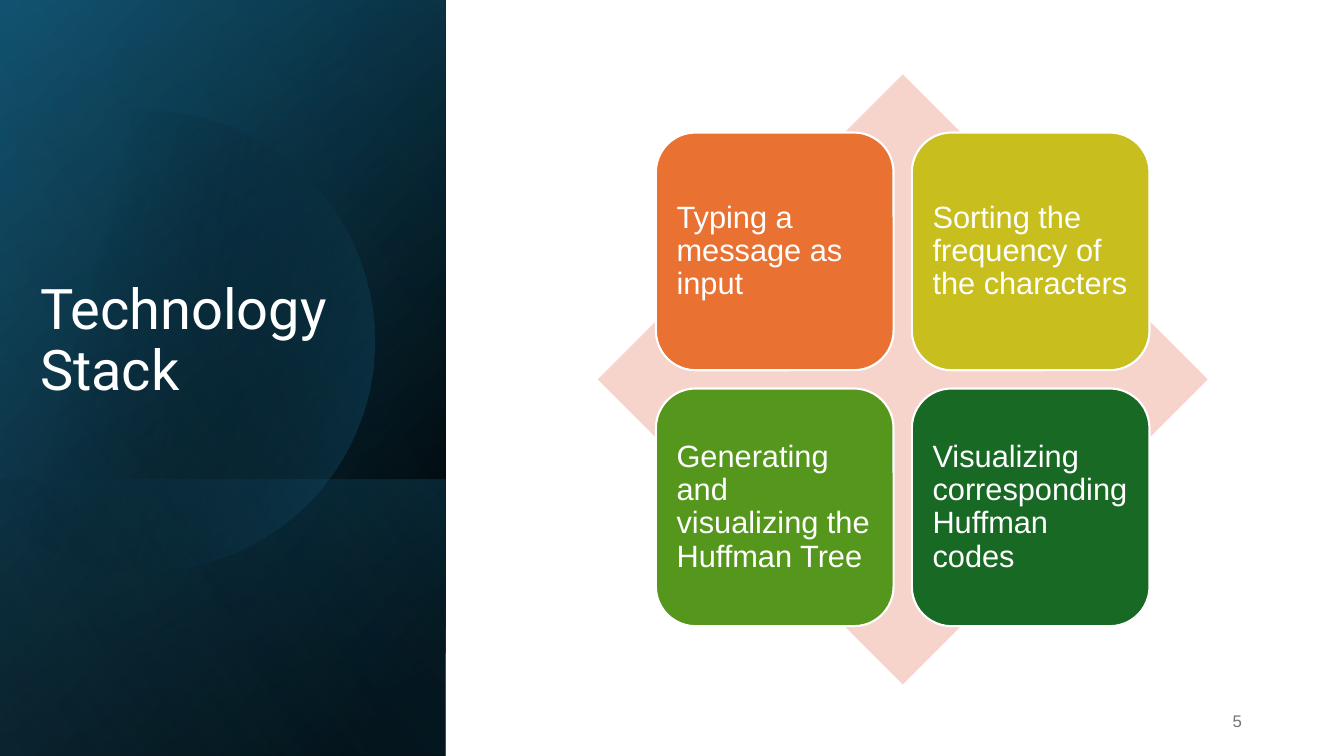
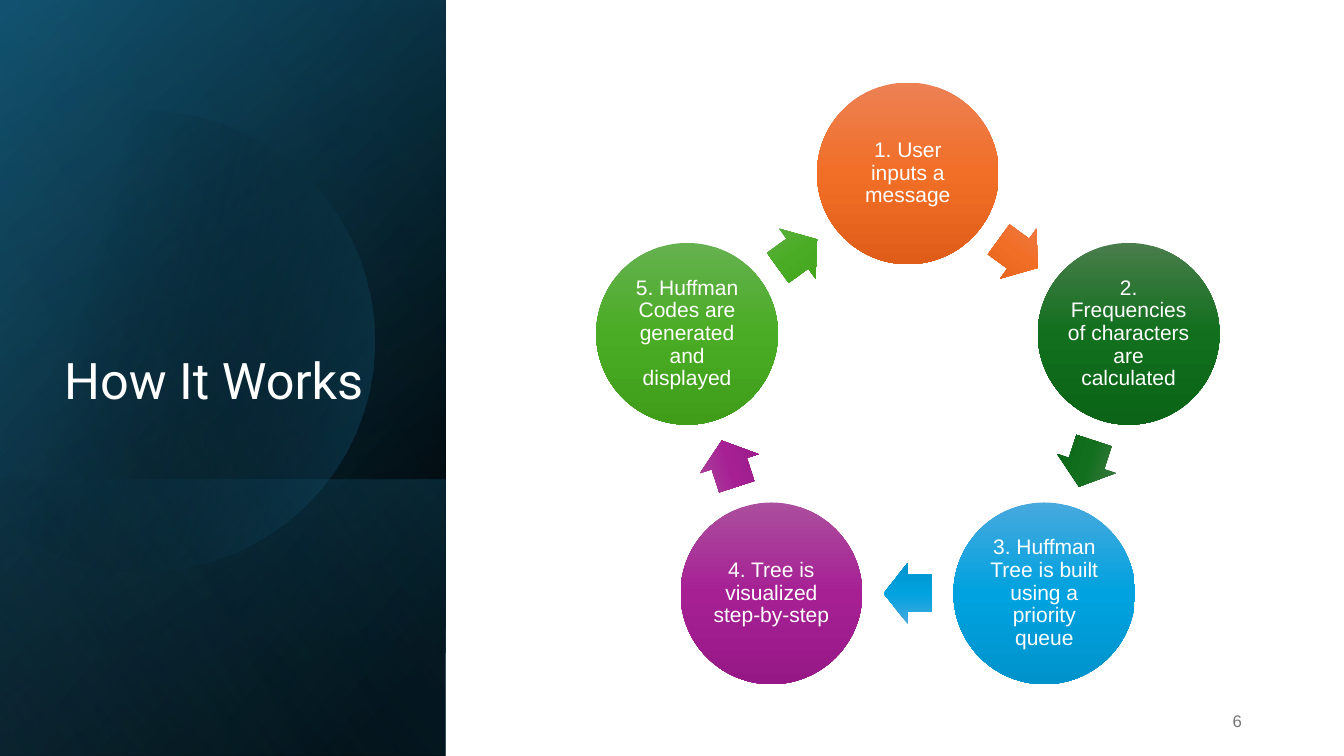
"""Build two slides on Huffman coding: a tile matrix and a five-step cycle."""
from math import cos, pi, sin

from pptx import Presentation
from pptx.dml.color import RGBColor
from pptx.enum.shapes import MSO_SHAPE as Shape
from pptx.enum.text import MSO_ANCHOR as Anchor, PP_ALIGN as Align
from pptx.oxml import parse_xml
from pptx.oxml.ns import nsdecls, qn
from pptx.util import Cm, Pt

WHITE = RGBColor(0xFF, 0xFF, 0xFF)
BLACK = RGBColor(0x00, 0x00, 0x00)
NAVY = RGBColor(0x0F, 0x48, 0x61)
TEAL = RGBColor(0x15, 0x60, 0x82)
SKY = RGBColor(0x43, 0xAF, 0xE2)
GRAY = RGBColor(0x75, 0x75, 0x75)
BLUSH = RGBColor(0xF6, 0xD4, 0xCC)

SLIDE_W, SLIDE_H = 33.87, 19.05
PANEL_W = 11.23
LOWER_TOP = 12.09

BACK_LAYERS = [
    (0, [(0, BLACK, 100), (8, BLACK, 100), (100, NAVY, 100)], 50),
    (0, [(0, BLACK, 0), (99, TEAL, 46), (100, TEAL, 46)], 30),
    (LOWER_TOP, [(0, TEAL, 29), (2, TEAL, 29), (100, BLACK, 30)], 130),
]
FRONT_LAYERS = [(0, [(0, BLACK, 0), (99, SKY, 11), (100, SKY, 11)], 120)]
DISC_START = (3.78, 2.79)
DISC_CURVES = [
    [(6.25, 2.84), (8.51, 4.5), (9.22, 6.99)],
    [(10.11, 10.08), (8.33, 13.28), (5.26, 14.17)],
    [(3.33, 14.73), (1.35, 14.25), (-0.08, 13.06)],
    [(-0.38, 12.78)],
    [(-0.38, 4.45)],
    [(0, 4.09)],
    [(0.58, 3.61), (1.27, 3.25), (2.03, 3.02)],
    [(2.62, 2.87), (3.2, 2.79), (3.78, 2.79)],
]
DISC_STOPS = [(0, BLACK, 0), (29, BLACK, 0), (100, TEAL, 43)]
CURVE_STEPS = 16

STACK = {"title": "Technology\vStack", "size": 40, "number": "5",
         "box": (0.76, 6.93, 10.87, 3.33)}
WORKS = {"title": "How It Works", "size": 36, "number": "6",
         "box": (1.37, 8.86, 8.46, 1.6)}

TILES = [
    ("Typing a message as input", RGBColor(0xE9, 0x71, 0x31)),
    ("Sorting the frequency of the characters", RGBColor(0xC8, 0xBE, 0x1E)),
    ("Generating and visualizing the Huffman Tree", RGBColor(0x55, 0x97, 0x1D)),
    ("Visualizing corresponding Huffman codes", RGBColor(0x18, 0x69, 0x23)),
]
MATRIX_X, MATRIX_Y = 22.75, 9.56
DIAMOND, TILE, TILE_PITCH = 15.37, 5.99, 6.45

STEPS = [
    ("1. User inputs a message", ("EC8154", "F16E27", "DF5D18")),
    ("2. Frequencies of characters are calculated", ("497D4C", "116F1D", "0B6417")),
    ("3. Huffman Tree is built using a priority queue", ("47A9DE", "00A2DF", "0093CC")),
    ("4. Tree is visualized step-by-step", ("AB4E9D", "A62094", "961886")),
    ("5. Huffman Codes are generated and displayed", ("65B150", "4AAC24", "3F9D1A")),
]
CYCLE_X, CYCLE_Y, CYCLE_R = 22.88, 10.22, 5.85
CIRCLE, ARROW_W, ARROW_H = 4.58, 1.22, 1.55


def gradient(shape, stops, angle):
    shape.fill.gradient()
    marks = "".join(
        f'<a:gs pos="{pos * 1000}"><a:srgbClr val="{color}">'
        f'<a:alpha val="{alpha * 1000}"/></a:srgbClr></a:gs>'
        for pos, color, alpha in stops)
    properties = shape._element.spPr
    properties.replace(properties.find(qn("a:gradFill")), parse_xml(
        f'<a:gradFill {nsdecls("a")} rotWithShape="1"><a:gsLst>{marks}</a:gsLst>'
        f'<a:lin ang="{angle * 60000}" scaled="0"/></a:gradFill>'))


def add_centred(slide, kind, x, y, width, height):
    shape = slide.shapes.add_shape(
        kind, Cm(x - width / 2), Cm(y - height / 2), Cm(width), Cm(height))
    shape.shadow.inherit = False
    shape.line.fill.background()
    return shape


def write(shape, text, size, color, font="Arial", align=Align.LEFT,
          anchor=Anchor.MIDDLE, spacing=0.9, inset=None):
    frame = shape.text_frame
    frame.word_wrap = True
    frame.vertical_anchor = anchor
    if inset is not None:
        frame.margin_left = frame.margin_right = Cm(inset)
        frame.margin_top = frame.margin_bottom = Cm(inset)
    paragraph = frame.paragraphs[0]
    paragraph.text = text
    paragraph.alignment = align
    paragraph.line_spacing = spacing
    paragraph.font.name = font
    paragraph.font.size = Pt(size)
    paragraph.font.color.rgb = color


def add_layers(slide, layers):
    for top, stops, angle in layers:
        height = SLIDE_H - top
        layer = add_centred(slide, Shape.RECTANGLE, PANEL_W / 2, top + height / 2,
                            height, PANEL_W)
        layer.rotation = 90
        layer._element.spPr.xfrm.set("flipH", "1")
        gradient(layer, stops, angle)


def curve_points(start, controls):
    if len(controls) == 1:
        return controls
    points = []
    for step in range(1, CURVE_STEPS + 1):
        t = step / CURVE_STEPS
        weights = ((1 - t) ** 3, 3 * t * (1 - t) ** 2, 3 * t * t * (1 - t), t ** 3)
        corners = (start, *controls)
        points.append(tuple(sum(w * corner[axis] for w, corner in zip(weights, corners))
                            for axis in (0, 1)))
    return points


def add_disc(slide):
    outline, start = [], DISC_START
    for controls in DISC_CURVES:
        outline += curve_points(start, controls)
        start = controls[-1]
    builder = slide.shapes.build_freeform(*map(Cm, DISC_START))
    builder.add_line_segments([(Cm(x), Cm(y)) for x, y in outline], close=True)
    disc = builder.convert_to_shape()
    disc.shadow.inherit = False
    disc.line.fill.background()
    gradient(disc, DISC_STOPS, 14)


def add_base(deck, content):
    slide = deck.slides.add_slide(deck.slide_layouts[6])
    add_layers(slide, BACK_LAYERS)
    add_disc(slide)
    add_layers(slide, FRONT_LAYERS)
    title = slide.shapes.add_textbox(*map(Cm, content["box"]))
    write(title, content["title"], content["size"], WHITE, "Roboto",
          anchor=Anchor.BOTTOM)
    number = slide.shapes.add_textbox(Cm(23.93), Cm(17.65), Cm(7.62), Cm(1.02))
    write(number, content["number"], 12, GRAY, align=Align.RIGHT, spacing=1.0)
    return slide


def add_matrix(slide):
    diamond = add_centred(slide, Shape.DIAMOND, MATRIX_X, MATRIX_Y, DIAMOND, DIAMOND)
    diamond.fill.solid()
    diamond.fill.fore_color.rgb = BLUSH
    for index, (text, color) in enumerate(TILES):
        row, column = divmod(index, 2)
        tile = add_centred(slide, Shape.ROUNDED_RECTANGLE,
                           MATRIX_X + (column - 0.5) * TILE_PITCH,
                           MATRIX_Y + (row - 0.5) * TILE_PITCH, TILE, TILE)
        tile.fill.solid()
        tile.fill.fore_color.rgb = color
        tile.line.color.rgb = WHITE
        tile.line.width = Pt(1.5)
        write(tile, text, 22, WHITE, inset=0.23)


def cycle_point(turn, radius):
    angle = 2 * pi * turn
    return CYCLE_X + radius * sin(angle), CYCLE_Y - radius * cos(angle)


def add_cycle(slide):
    count = len(STEPS)
    for index, (text, shades) in enumerate(STEPS):
        stops = [(pos, RGBColor.from_string(shade), 100)
                 for pos, shade in zip((0, 50, 100), shades)]
        circle = add_centred(slide, Shape.OVAL, *cycle_point(index / count, CYCLE_R),
                             CIRCLE, CIRCLE)
        gradient(circle, stops, 90)
        write(circle, text, 15, WHITE, align=Align.CENTER, inset=0.05)
        halfway = (index + 0.5) / count
        arrow = add_centred(slide, Shape.RIGHT_ARROW,
                            *cycle_point(halfway, CYCLE_R * cos(pi / count)),
                            ARROW_W, ARROW_H)
        arrow.adjustments[0] = 0.6
        arrow.adjustments[1] = 0.5
        arrow.rotation = 360 * halfway
        gradient(arrow, stops, 90)


def main():
    deck = Presentation()
    deck.slide_width, deck.slide_height = Cm(SLIDE_W), Cm(SLIDE_H)
    add_matrix(add_base(deck, STACK))
    add_cycle(add_base(deck, WORKS))
    deck.save("out.pptx")


if __name__ == "__main__":
    main()
